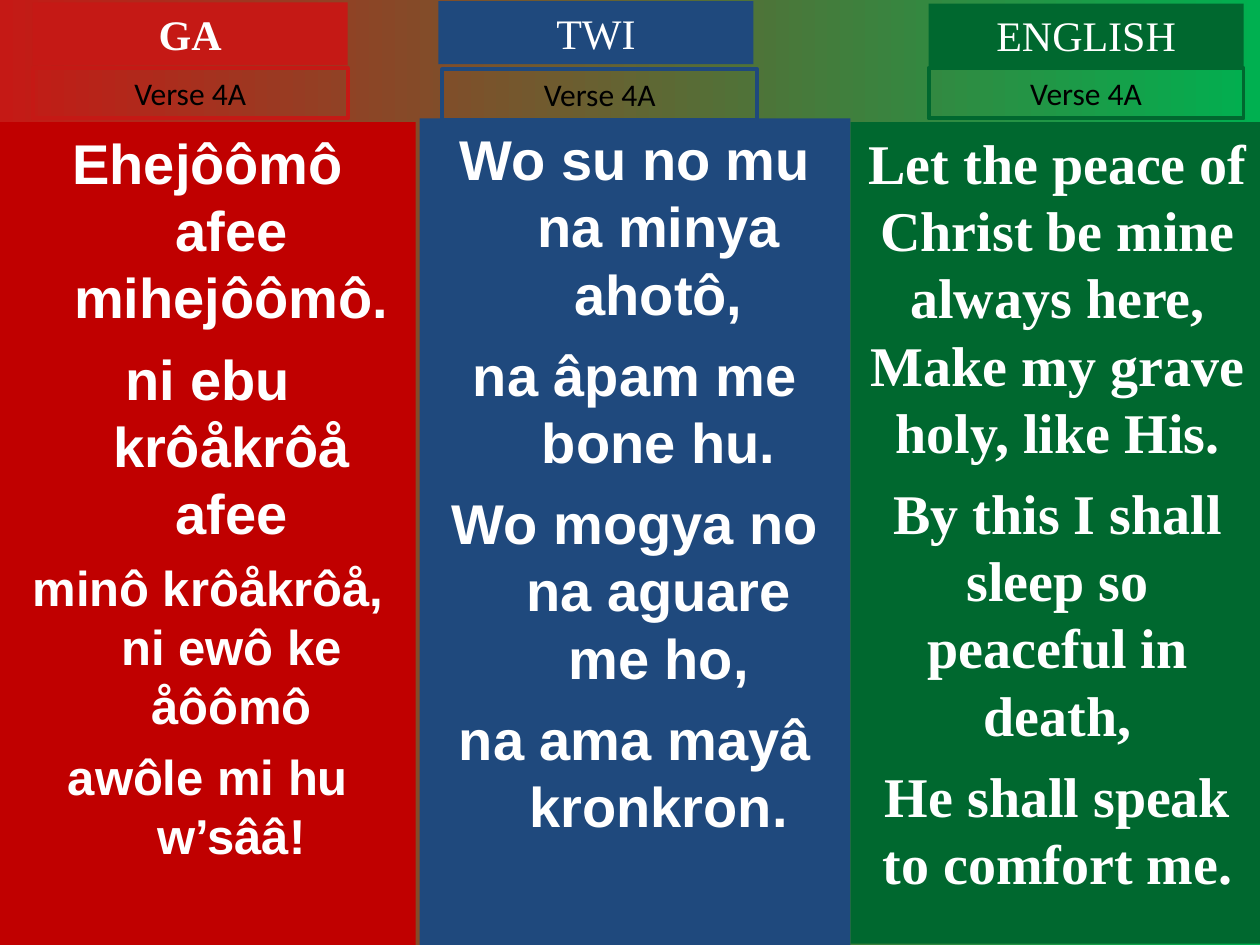
from dataclasses import dataclass

from pptx import Presentation
from pptx.dml.color import RGBColor
from pptx.enum.shapes import MSO_SHAPE
from pptx.enum.text import MSO_ANCHOR, PP_ALIGN
from pptx.shapes.autoshape import Shape
from pptx.slide import Slide
from pptx.util import Pt


@dataclass(frozen=True)
class Theme:
    red: str = "C51915"
    deep_red: str = "C00000"
    blue: str = "1F497D"
    green: str = "00682F"
    bright_green: str = "00B050"
    white: str = "FFFFFF"
    black: str = "000000"
    sans: str = "Arial"
    serif: str = "Times New Roman"
    label_font: str = "Calibri"
    verse_size: int = 32
    small_verse_size: int = 28
    title_size: int = 24
    label_size: int = 18
    border: float = 2.25


THEME = Theme()
HANGING = 27


@dataclass(frozen=True)
class Frame:
    left: float
    top: float
    width: float
    height: float


@dataclass(frozen=True)
class Line:
    text: str
    size: int
    font: str
    color: str = THEME.white
    bold: bool = True
    space_before: float = 0
    hanging: float = 0


@dataclass(frozen=True)
class Column:
    language: str
    bold_title: bool
    accent: str
    body_fill: str
    title_left: float
    title_top: float
    label_left: float
    label_top: float
    body: Frame
    font: str
    hanging: float
    verses: tuple[tuple[str, int], ...]


COLUMNS = (
    Column("GA", True, THEME.red, THEME.deep_red, 18.72, 1.44, 18.72, 38.88,
           Frame(0, 69.84, 237.6, 470.16), THEME.sans, HANGING, (
               ("Ehejôômô afee mihejôômô.", THEME.verse_size),
               ("ni ebu krôåkrôå afee", THEME.verse_size),
               ("minô krôåkrôå, ni ewô ke åôômô", THEME.small_verse_size),
               ("awôle mi hu w’sââ!", THEME.small_verse_size))),
    Column("TWI", False, THEME.blue, THEME.blue, 250.56, 0.72, 252.72, 39.6,
           Frame(239.76, 67.68, 246.24, 472.32), THEME.sans, HANGING, (
               ("Wo su no mu na minya ahotô,", THEME.verse_size),
               ("na âpam me bone hu.", THEME.verse_size),
               ("Wo mogya no na aguare me ho,", THEME.verse_size),
               ("na ama mayâ kronkron.", THEME.verse_size))),
    Column("ENGLISH", False, THEME.green, THEME.green, 530.64, 2.16, 530.64, 38.88,
           Frame(486, 69.84, 236.88, 469.44), THEME.serif, 0, (
               ("Let the peace of Christ be mine always here, "
                "Make my grave holy, like His.", THEME.verse_size),
               ("By this I shall sleep so peaceful in death,", THEME.verse_size),
               ("He shall speak to comfort me.", THEME.verse_size))),
)


def rgb(color: str) -> RGBColor:
    return RGBColor.from_string(color)


def add_box(page: Slide, frame: Frame, fill: str | None = None,
            border: str | None = None) -> Shape:
    box = page.shapes.add_shape(MSO_SHAPE.RECTANGLE, Pt(frame.left), Pt(frame.top),
                                Pt(frame.width), Pt(frame.height))
    box.shadow.inherit = False
    if fill:
        box.fill.solid()
        box.fill.fore_color.rgb = rgb(fill)
    else:
        box.fill.background()
    if border:
        box.line.color.rgb = rgb(border)
        box.line.width = Pt(THEME.border)
    else:
        box.line.fill.background()
    return box


def write_lines(box: Shape, lines: list[Line]) -> None:
    frame = box.text_frame
    frame.word_wrap = True
    frame.vertical_anchor = MSO_ANCHOR.TOP
    for index, line in enumerate(lines):
        para = frame.add_paragraph() if index else frame.paragraphs[0]
        para.text = line.text
        para.alignment = PP_ALIGN.CENTER
        if index:
            para.space_before = Pt(line.space_before)
        if line.hanging:
            properties = para._p.get_or_add_pPr()
            properties.set("marL", str(Pt(line.hanging)))
            properties.set("indent", str(-Pt(line.hanging)))
        para.font.size = Pt(line.size)
        para.font.name = line.font
        para.font.bold = line.bold
        para.font.color.rgb = rgb(line.color)


def draw_column(page: Slide, column: Column) -> None:
    body = add_box(page, column.body, fill=column.body_fill)
    write_lines(body, [
        Line(text, size, column.font, space_before=size / 4, hanging=column.hanging)
        for text, size in column.verses])

    title = add_box(page, Frame(column.title_left, column.title_top, 180, 36),
                    fill=column.accent)
    write_lines(title, [Line(column.language, THEME.title_size, THEME.serif,
                             bold=column.bold_title)])

    label = add_box(page, Frame(column.label_left, column.label_top, 180, 28.8),
                    border=column.accent)
    write_lines(label, [Line("Verse 4A", THEME.label_size, THEME.label_font,
                             color=THEME.black, bold=False)])


def paint_background(page: Slide) -> None:
    fill = page.background.fill
    fill.gradient()
    fill.gradient_angle = 0
    for stop, color in zip(fill.gradient_stops, (THEME.red, THEME.bright_green)):
        stop.color.rgb = rgb(color)


def main() -> None:
    deck = Presentation()
    deck.slide_width, deck.slide_height = Pt(720), Pt(540)
    page = deck.slides.add_slide(deck.slide_layouts[6])
    paint_background(page)
    for column in COLUMNS:
        draw_column(page, column)
    deck.save("out.pptx")


if __name__ == "__main__":
    main()
